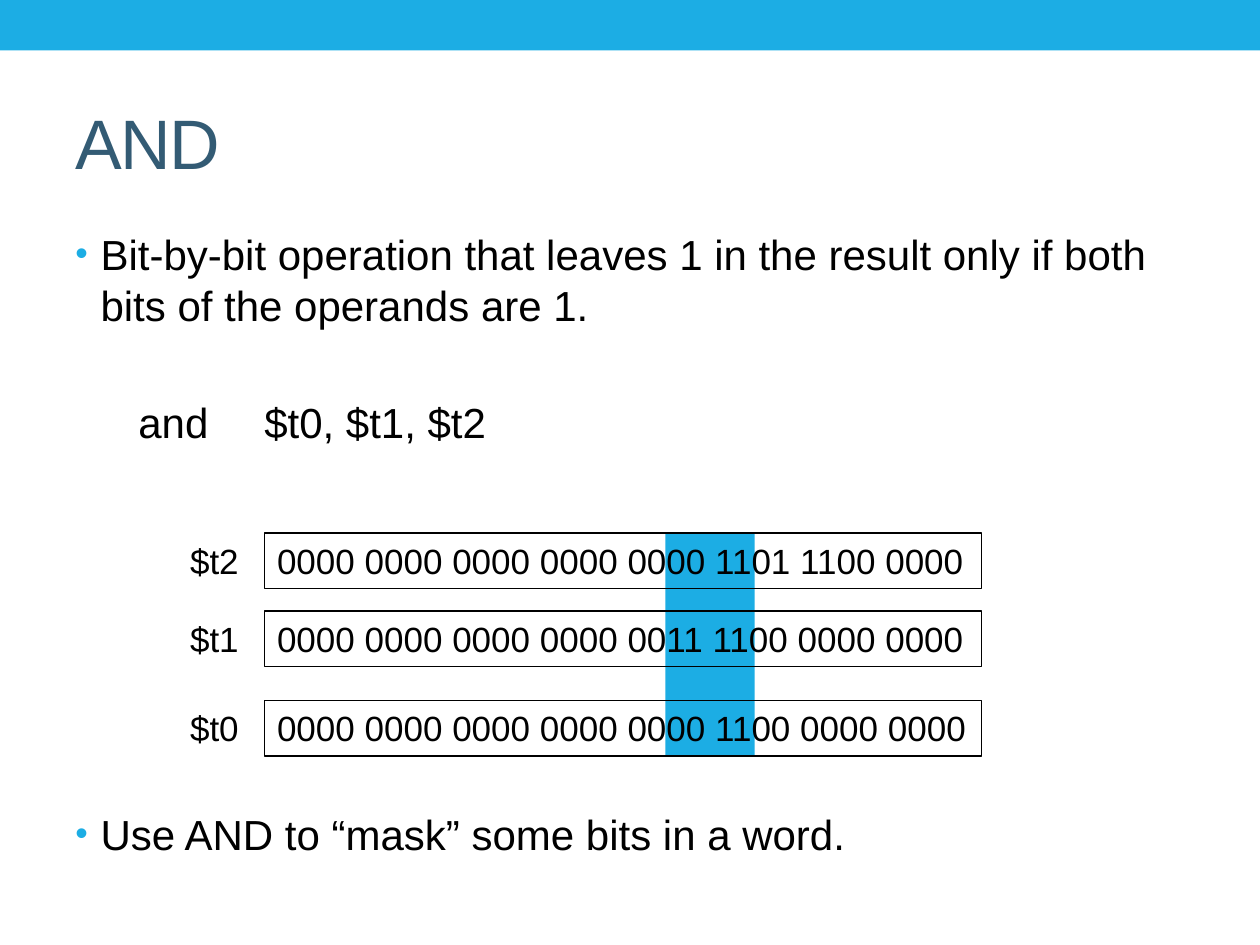
from lxml.etree import SubElement
from pptx import Presentation
from pptx.dml.color import RGBColor
from pptx.enum.shapes import MSO_SHAPE
from pptx.enum.text import MSO_ANCHOR, PP_ALIGN
from pptx.oxml.ns import qn
from pptx.util import Inches, Pt

ACCENT = "1CADE4"
BLACK = "000000"
TITLE_COLOR = "335B74"


def rgb(value):
    return RGBColor.from_string(value)


def style(paragraph, size, color=BLACK):
    paragraph.alignment = PP_ALIGN.LEFT
    paragraph.font.name = "Arial"
    paragraph.font.size = Pt(size)
    paragraph.font.color.rgb = rgb(color)


def add_rectangle(slide, left, top, width, height, fill=None):
    rectangle = slide.shapes.add_shape(
        MSO_SHAPE.RECTANGLE, Inches(left), Inches(top), Inches(width), Inches(height))
    rectangle.shadow.inherit = False
    if fill:
        rectangle.fill.solid()
        rectangle.fill.fore_color.rgb = rgb(fill)
        rectangle.line.fill.background()
    else:
        rectangle.fill.background()
        rectangle.line.color.rgb = rgb(BLACK)
        rectangle.line.width = Pt(0.75)
    return rectangle


def add_text_box(slide, left, top, width, height):
    return slide.shapes.add_textbox(
        Inches(left), Inches(top), Inches(width), Inches(height)).text_frame


def add_bullet(paragraph):
    properties = paragraph._p.get_or_add_pPr()
    properties.set("marL", str(Inches(0.2)))
    properties.set("indent", str(-Inches(0.2)))
    bullet_color = SubElement(properties, qn("a:buClr"))
    SubElement(bullet_color, qn("a:srgbClr"), val=ACCENT)
    SubElement(properties, qn("a:buSzPct"), val="85000")
    SubElement(properties, qn("a:buFont"), typeface="Arial")
    SubElement(properties, qn("a:buChar"), char="•")


def add_title(slide, left, top, width, height):
    frame = add_text_box(slide, left, top, width, height)
    frame.word_wrap = True
    frame.vertical_anchor = MSO_ANCHOR.MIDDLE
    heading = frame.paragraphs[0]
    run = heading.add_run()
    run.text = "AND"
    run.font._element.set("spc", "-100")
    style(heading, 40, TITLE_COLOR)


def add_body(slide, left, top, width, height):
    frame = add_text_box(slide, left, top, width, height)
    frame.word_wrap = True
    lines = [
        ("Bit-by-bit operation that leaves 1 in the result only if both "
         "bits of the operands are 1.", True, 0),
        ("\tand \t$t0, $t1, $t2", False, 37.7),
        ("Use AND to “mask” some bits in a word.", True, 206.3),
    ]
    for index, (text, bulleted, space_before) in enumerate(lines):
        paragraph = frame.add_paragraph() if index else frame.paragraphs[0]
        paragraph.add_run().text = text
        if bulleted:
            add_bullet(paragraph)
        paragraph.line_spacing = Pt(29.1)
        if space_before:
            paragraph.space_before = Pt(space_before)
        style(paragraph, 24)


def add_register(slide, left, top, name, bits):
    value_box = add_rectangle(slide, left + 0.69, top, 5.69, 0.44).text_frame
    label_box = add_text_box(slide, left, top, 0.59, 0.43)
    for frame, text in ((value_box, bits), (label_box, name)):
        frame.word_wrap = False
        frame.vertical_anchor = MSO_ANCHOR.TOP
        frame.paragraphs[0].text = text
        style(frame.paragraphs[0], 20)


def add_registers(slide, left, top):
    add_rectangle(slide, left + 3.87, top + 0.01, 0.71, 1.76, ACCENT)
    registers = [
        (0, "$t2", "0000 0000 0000 0000 0000 1101 1100 0000"),
        (0.62, "$t1", "0000 0000 0000 0000 0011 1100 0000 0000"),
        (1.33, "$t0", "0000 0000 0000 0000 0000 1100 0000 0000"),
    ]
    for offset, name, bits in registers:
        add_register(slide, left, top + offset, name, bits)


def main():
    presentation = Presentation()
    presentation.slide_width = Inches(10)
    presentation.slide_height = Inches(7.5)
    slide = presentation.slides.add_slide(presentation.slide_layouts[6])
    add_rectangle(slide, 0, 0, 10, 0.4, ACCENT)
    add_title(slide, 0.5, 0.58, 9, 1.08)
    add_body(slide, 0.5, 1.76, 9, 5.33)
    add_registers(slide, 1.41, 4.23)
    presentation.save("out.pptx")


if __name__ == "__main__":
    main()
